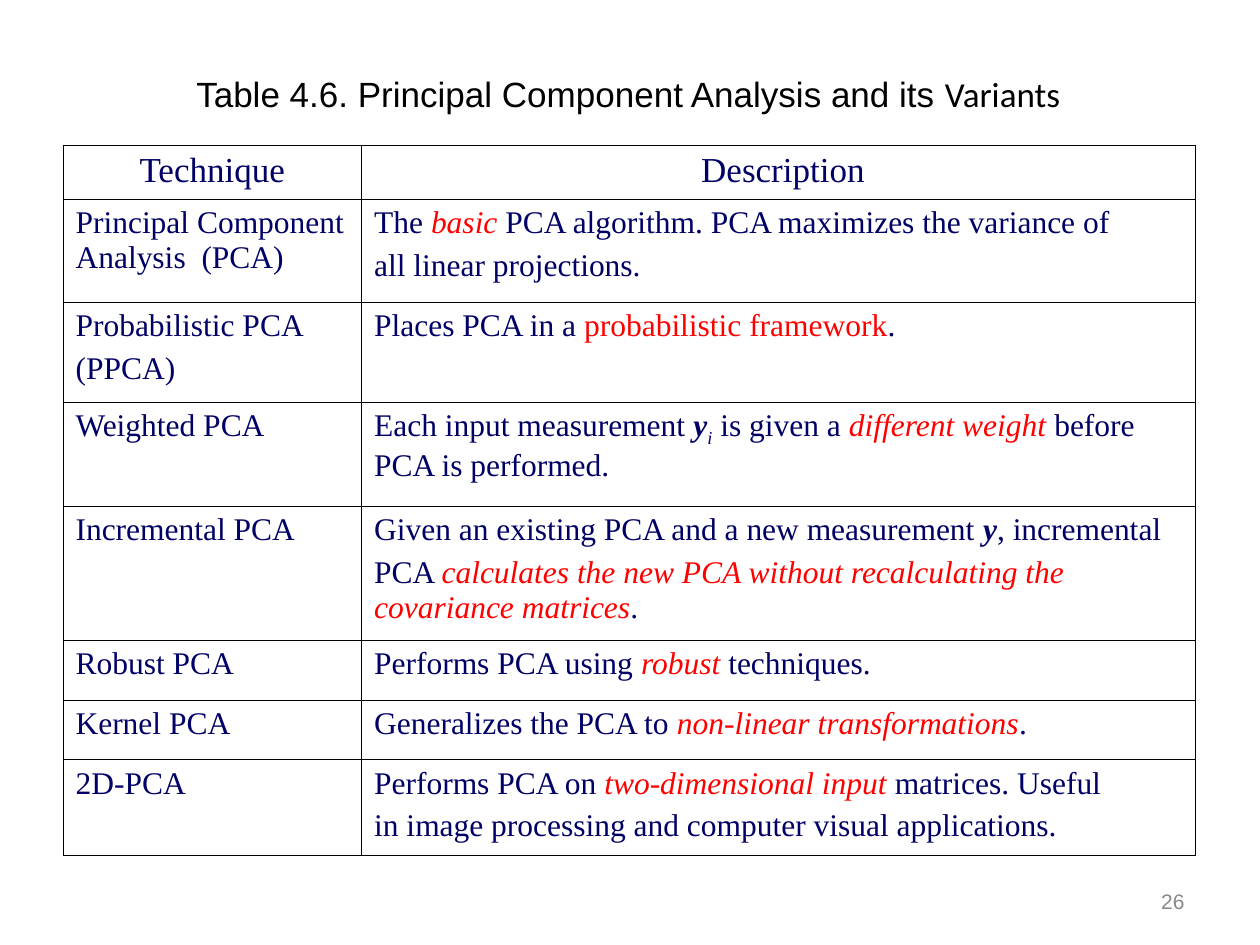
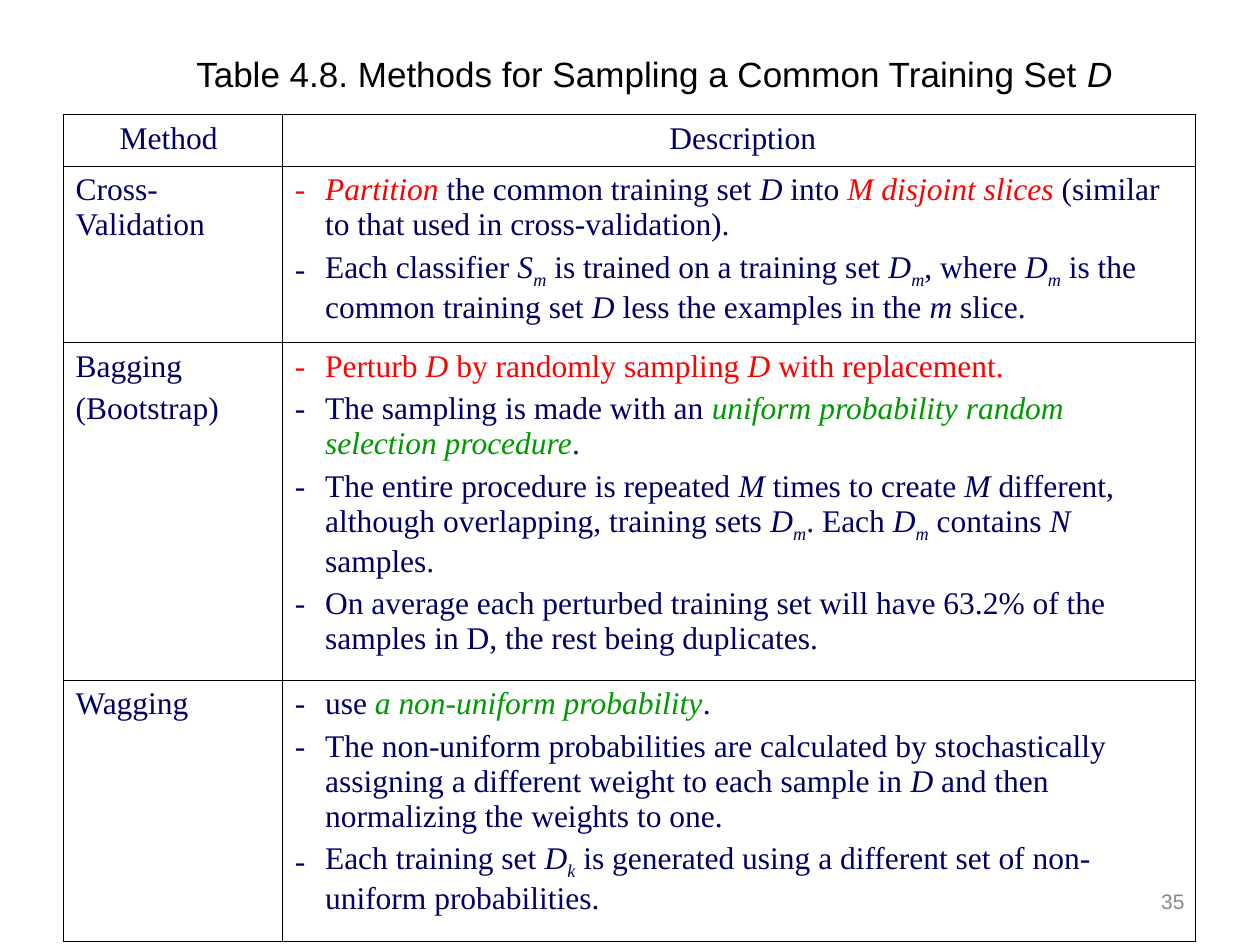
from lxml.etree import SubElement
from pptx import Presentation
from pptx.dml.color import RGBColor as RGB
from pptx.enum.text import MSO_ANCHOR as ANCHOR, PP_ALIGN as ALIGN
from pptx.oxml.ns import qn
from pptx.util import Inches, Pt

COLORS = {"ink": "000066", "red": "FF0000", "green": "009900",
          "title": "000000", "page": "898989", "rule": "000000"}
SERIF, SANS = "Times New Roman", "Arial"
LEFT = 0.5  # left margin of the tables
TITLE_LEFT, TITLE_W, TITLE_H = 1.46, 7.87, 0.63
BODY_SIZE, PARA_GAP, DASH_INDENT = 18, 4.5, 0.24


def add_run(p, text, flags="", font=SERIF, size=BODY_SIZE, color="ink"):
    """Flags: i italic, b bold, s subscript, r red, g green."""
    r = p.add_run()
    r.text = text
    f = r.font
    f.name, f.size = font, Pt(size)
    f.bold, f.italic = "b" in flags, "i" in flags
    if "r" in flags:
        color = "red"
    elif "g" in flags:
        color = "green"
    f.color.rgb = RGB.from_string(COLORS[color])
    if "s" in flags:
        f._element.set("baseline", "-25000")


def add_dash(p, color):
    pPr = p._p.get_or_add_pPr()
    pPr.set("marL", str(Inches(DASH_INDENT)))
    pPr.set("indent", str(-Inches(DASH_INDENT)))
    SubElement(SubElement(pPr, qn("a:buClr")), qn("a:srgbClr"), val=COLORS[color])
    SubElement(pPr, qn("a:buFont"), typeface=SERIF)
    SubElement(pPr, qn("a:buChar"), char="-")


# Each table row is (name paragraphs, description paragraphs);
# a description paragraph is a list of (text, flags) runs.
pca_rows = [
    (["Principal Component Analysis  (PCA)"],
     [[("The ", ""), ("basic ", "ir"),
       ("PCA algorithm. PCA maximizes the variance of", "")],
      [("all linear projections.", "")]]),
    (["Probabilistic PCA", "(PPCA)"],
     [[("Places PCA in a ", ""), ("probabilistic framework", "r"), (".", "")]]),
    (["Weighted PCA"],
     [[("Each input measurement ", ""), ("y", "bi"), ("i", "is"),
       (" is given a ", ""), ("different weight ", "ir"),
       ("before PCA is performed.", "")]]),
    (["Incremental PCA"],
     [[("Given an existing PCA and a new measurement ", ""), ("y", "bi"),
       (", incremental", "")],
      [("PCA ", ""),
       ("calculates the new PCA without recalculating the covariance matrices", "ir"),
       (".", "")]]),
    (["Robust PCA"],
     [[("Performs PCA using ", ""), ("robust", "ir"), (" techniques.", "")]]),
    (["Kernel PCA"],
     [[("Generalizes the PCA to ", ""), ("non-linear transformations", "ir"),
       (".", "")]]),
    (["2D-PCA"],
     [[("Performs PCA on ", ""), ("two-dimensional input ", "ir"),
       ("matrices. Useful", "")],
      [("in image processing and computer visual applications.", "")]]),
]

sampling_rows = [
    (["Cross-Validation"],
     [[("Partition", "ir"), (" the common training set ", ""), ("D", "i"),
       (" into ", ""), ("M disjoint slices", "ir"),
       (" (similar to that used in cross-validation).", "")],
      [("Each classifier ", ""), ("S", "i"), ("m", "is"),
       (" is trained on a training set ", ""), ("D", "i"), ("m", "is"),
       (", where ", ""), ("D", "i"), ("m", "is"),
       (" is the common training set ", ""), ("D", "i"),
       (" less the examples in the ", ""), ("m", "i"), (" slice.", "")]]),
    (["Bagging", "(Bootstrap)"],
     [[("Perturb ", "r"), ("D", "ir"), (" by randomly sampling ", "r"),
       ("D", "ir"), (" with replacement.", "r")],
      [("The sampling is made with an ", ""),
       ("uniform probability random selection procedure", "ig"), (".", "")],
      [("The entire procedure is repeated ", ""), ("M", "i"),
       (" times to create ", ""), ("M ", "i"),
       ("different, although overlapping, training sets ", ""),
       ("D", "i"), ("m", "is"), (". Each ", ""), ("D", "i"), ("m", "is"),
       (" contains ", ""), ("N", "i"), (" samples.", "")],
      [("On average each perturbed training set will have 63.2% of the "
        "samples in D, the rest being duplicates.", "")]]),
    (["Wagging"],
     [[("use ", ""), ("a non-uniform probability", "ig"), (".", "")],
      [("The non-uniform probabilities are calculated by stochastically "
        "assigning a different weight to each sample in ", ""), ("D", "i"),
       (" and then normalizing the weights to one.", "")],
      [("Each training set", ""), (" D", "i"), ("k", "is"),
       (" is generated using a different set of non-uniform probabilities.", "")]]),
]

slides = [
    dict(page="26", title_top=0.53, table_top=1.15, head_size=20, dashes=False,
         title=[("Table 4.6. Principal Component Analysis and its ", "", SANS),
                ("Variants ", "", "Calibri")],
         heads=["Technique", " Description"], rows=pca_rows,
         cols=[2.37, 6.62],
         heights=[0.43, 0.82, 0.79, 0.83, 1.06, 0.48, 0.47, 0.76]),
    dict(page="35", title_top=0.37, table_top=0.91, head_size=18, dashes=True,
         title=[("Table 4.8. Methods for Sampling a Common Training Set ", "", SANS),
                ("D", "i", SANS)],
         heads=["Method ", " Description"], rows=sampling_rows,
         cols=[1.74, 7.25], heights=[0.41, 1.4, 2.54, 2.07]),
]

prs = Presentation()
prs.slide_width, prs.slide_height = Inches(10), Inches(7.5)

for data in slides:
    s = prs.slides.add_slide(prs.slide_layouts[6])

    # Page number
    tf = s.shapes.add_textbox(Inches(7.17), Inches(6.95),
                              Inches(2.33), Inches(0.4)).text_frame
    tf.word_wrap, tf.vertical_anchor = True, ANCHOR.MIDDLE
    p = tf.paragraphs[0]
    p.alignment = ALIGN.RIGHT
    add_run(p, data["page"], font=SANS, size=12, color="page")

    # Title
    tf = s.shapes.add_textbox(Inches(TITLE_LEFT), Inches(data["title_top"]),
                              Inches(TITLE_W), Inches(TITLE_H)).text_frame
    tf.word_wrap = True
    p = tf.paragraphs[0]
    p.alignment = ALIGN.JUSTIFY
    for text, flags, font in data["title"]:
        add_run(p, text, flags, font, 20, "title")

    # Table
    cols, heights = data["cols"], data["heights"]
    table = s.shapes.add_table(
        len(heights), len(cols), Inches(LEFT), Inches(data["table_top"]),
        Inches(sum(cols)), Inches(sum(heights))).table
    table.first_row = table.horz_banding = False
    for col, width in zip(table.columns, cols):
        col.width = Inches(width)
    for row, height in zip(table.rows, heights):
        row.height = Inches(height)

    for cell in table.iter_cells():
        cell.margin_bottom = 0  # lets full rows keep their set height
        tcPr = cell._tc.get_or_add_tcPr()
        for side in ("lnL", "lnR", "lnT", "lnB"):
            ln = SubElement(tcPr, qn("a:" + side), w=str(Pt(0.45)))
            SubElement(SubElement(ln, qn("a:solidFill")), qn("a:srgbClr"),
                       val=COLORS["rule"])
        cell.fill.background()

    for c, head in enumerate(data["heads"]):
        p = table.cell(0, c).text_frame.paragraphs[0]
        p.alignment = ALIGN.CENTER
        add_run(p, head, size=data["head_size"])

    for i, (names, description) in enumerate(data["rows"], start=1):
        for c, paras in enumerate(([[(n, "")] for n in names], description)):
            tf = table.cell(i, c).text_frame
            for k, runs in enumerate(paras):
                p = tf.add_paragraph() if k else tf.paragraphs[0]
                if k:
                    p.space_before = Pt(PARA_GAP)
                if c == 1 and data["dashes"]:
                    add_dash(p, "red" if "r" in runs[0][1] else "ink")
                for text, flags in runs:
                    add_run(p, text, flags)

prs.save("out.pptx")
